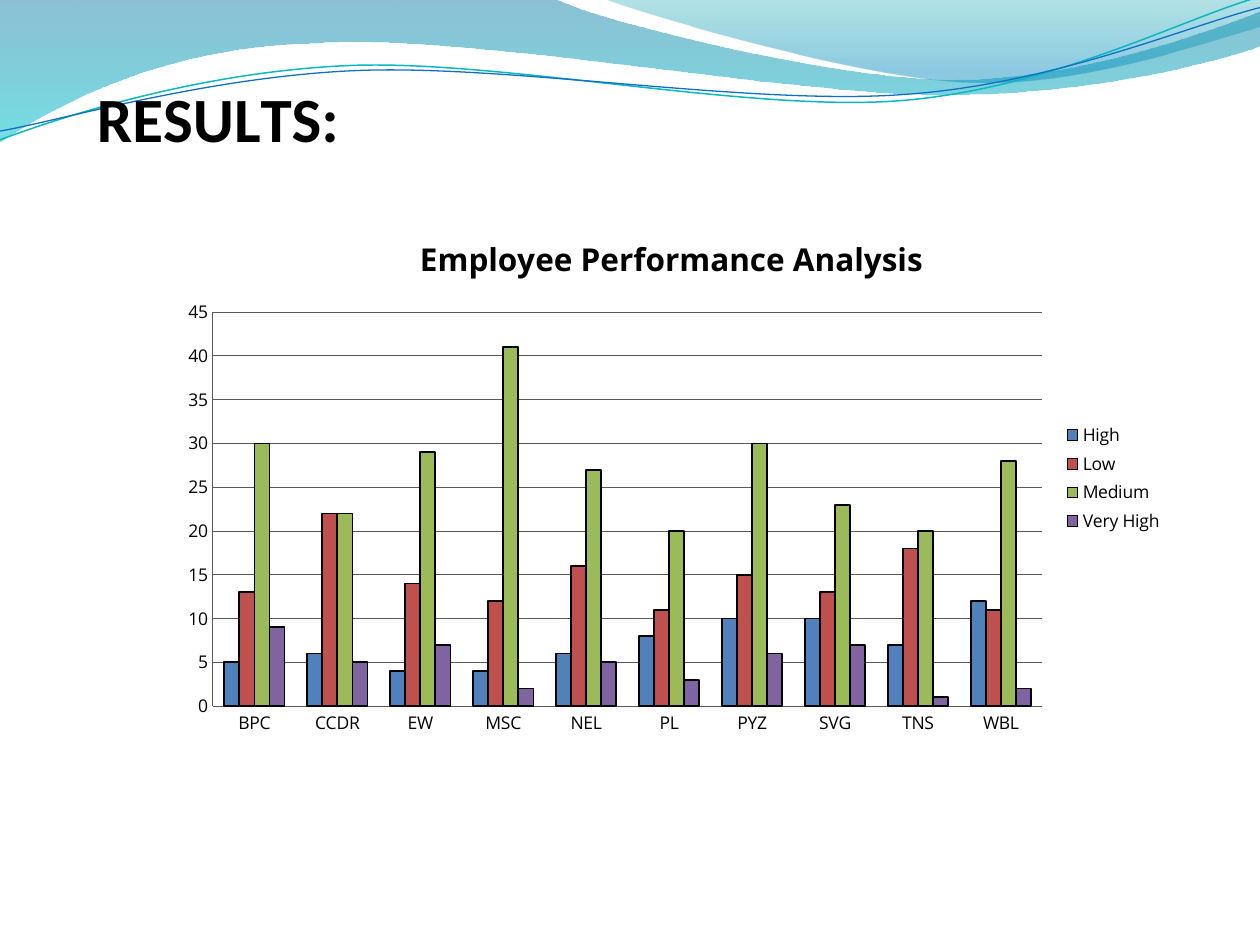
from math import cos, radians, sin

from lxml.etree import Element, SubElement
from pptx import Presentation
from pptx.chart.data import CategoryChartData
from pptx.dml.color import RGBColor
from pptx.enum.chart import XL_CHART_TYPE, XL_LEGEND_POSITION, XL_TICK_MARK
from pptx.enum.text import MSO_AUTO_SIZE
from pptx.oxml.ns import qn
from pptx.util import Inches, Pt

TEAMS = ["BPC", "CCDR", "EW", "MSC", "NEL", "PL", "PYZ", "SVG", "TNS", "WBL"]
RATINGS = [
    ("High", "4F81BD", [5, 6, 4, 4, 6, 8, 10, 10, 7, 12]),
    ("Low", "C0504D", [13, 22, 14, 12, 16, 11, 15, 13, 18, 11]),
    ("Medium", "9BBB59", [30, 22, 29, 41, 27, 20, 30, 23, 20, 28]),
    ("Very High", "8064A2", [9, 5, 7, 2, 5, 3, 6, 7, 1, 2]),
]

# Outlines in inches: each step holds one point (corner) or three (curve)
WIDE_WAVE = [
    [(0, 0)], [(4.4, -0.01)],
    [(4.76, 0.17), (6.64, 0.63), (7.58, 0.63)],
    [(8.53, 0.63), (9.58, 0.26), (10, 0.09)],
    [(10.01, 0.36)],
    [(9.83, 0.44), (8.7, 0.76), (7.46, 0.75)],
    [(6.22, 0.75), (3.82, 0.28), (2.57, 0.34)],
    [(1.29, 0.36), (0.46, 0.83), (-0.01, 1.13)],
    [(0, 0)],
]
RIGHT_WAVE = [
    [(4.79, -0.01)],
    [(5.09, 0.11), (6.82, 0.62), (7.69, 0.65)],
    [(8.56, 0.69), (9.61, 0.32), (10, 0.21)],
    [(10, 0)], [(4.79, -0.01)],
]
TEAL_LINE = [
    [(0, 1.11)],
    [(0.48, 0.93), (1.58, 0.57), (2.77, 0.52)],
    [(3.95, 0.47), (5.93, 0.89), (7.13, 0.8)],
    [(8.33, 0.71), (9.38, 0.15), (9.98, -0.02)],
]
BLUE_LINE = [
    [(0, 1.04)],
    [(0.47, 0.96), (1.64, 0.61), (2.83, 0.56)],
    [(4.03, 0.51), (5.97, 0.84), (7.17, 0.75)],
    [(8.36, 0.67), (9.41, 0.21), (10, 0.06)],
]
LINE_TILT = 2.7


def color(hex_string):
    return RGBColor.from_string(hex_string)


def turn(outline, degrees, center):
    """Turn an outline clockwise about a center."""
    cosine, sine = cos(radians(degrees)), sin(radians(degrees))
    middle_x, middle_y = center
    return [[(middle_x + (x - middle_x) * cosine - (y - middle_y) * sine,
              middle_y + (x - middle_x) * sine + (y - middle_y) * cosine)
             for x, y in step] for step in outline]


class SlideWriter:
    text_color = "000000"
    back_color = "FFFFFF"
    grid_color = "595959"
    title_font = "Calibri"
    chart_font = "Open Sans"

    def __init__(self, slide):
        self.slide = slide

    def freeform(self, outline, closed):
        points = [(Inches(x), Inches(y)) for step in outline for x, y in step]
        builder = self.slide.shapes.build_freeform(*points[0])
        builder.add_line_segments(points[1:], close=closed)
        shape = builder.convert_to_shape()
        shape.shadow.inherit = False
        # Join each group of three segments into one cubic curve
        segments = iter(list(shape.element.iter(qn("a:lnTo"))))
        for step in outline[1:]:
            group = [next(segments) for _ in step]
            if len(group) == 3:
                curve = Element(qn("a:cubicBezTo"))
                group[0].addprevious(curve)
                for segment in group:
                    curve.append(segment[0])
                    segment.getparent().remove(segment)
        return shape

    def wave(self, outline, stops):
        shape = self.freeform(outline, True)
        shape.line.fill.background()
        shape.fill.gradient()
        shape.fill.gradient_angle = 270
        for stop, (position, hex_string, _) in zip(shape.fill.gradient_stops, stops):
            stop.position = position
            stop.color.rgb = color(hex_string)
        for node, (_, _, opacity) in zip(shape.element.iter(qn("a:srgbClr")), stops):
            SubElement(node, qn("a:alpha"), val=str(opacity * 1000))

    def curve(self, outline, center, hex_string, width):
        shape = self.freeform(turn(outline, LINE_TILT, center), False)
        shape.rotation = 360 - LINE_TILT
        shape.fill.background()
        shape.line.color.rgb = color(hex_string)
        shape.line.width = Pt(width)

    def style_font(self, font, name, size, bold=False):
        font.name, font.size, font.bold = name, Pt(size), bold
        font.color.rgb = color(self.text_color)

    def style_line(self, line, hex_string, width):
        line.color.rgb = color(hex_string)
        line.width = Pt(width)

    def title(self, left, top, width, height, runs):
        box = self.slide.shapes.add_textbox(
            Inches(left), Inches(top), Inches(width), Inches(height))
        frame = box.text_frame
        frame.word_wrap = True
        frame.auto_size = MSO_AUTO_SIZE.SHAPE_TO_FIT_TEXT
        para = frame.paragraphs[0]
        for text, spacing in runs:
            span = para.add_run()
            span.text = text
            self.style_font(span.font, self.title_font, 36, True)
            span.font._element.set("spc", str(round(spacing * 100)))

    def column_chart(self, left, top, width, height, heading, categories, series):
        data = CategoryChartData()
        data.categories = categories
        for name, _, values in series:
            data.add_series(name, values)
        chart = self.slide.shapes.add_chart(
            XL_CHART_TYPE.COLUMN_CLUSTERED, Inches(left), Inches(top),
            Inches(width), Inches(height), data).chart
        self.style_font(chart.font, self.chart_font, 10)

        # Heading and legend
        chart.has_title = True
        span = chart.chart_title.text_frame.paragraphs[0].add_run()
        span.text = heading
        self.style_font(span.font, self.chart_font, 18, True)
        chart.has_legend = True
        chart.legend.position = XL_LEGEND_POSITION.RIGHT
        chart.legend.include_in_layout = False
        self.style_font(chart.legend.font, self.chart_font, 10)

        # Axes
        for axis in (chart.category_axis, chart.value_axis):
            axis.major_tick_mark = axis.minor_tick_mark = XL_TICK_MARK.NONE
            self.style_font(axis.tick_labels.font, self.chart_font, 10)
            self.style_line(axis.format.line, self.grid_color, 0.5)
        self.style_line(chart.value_axis.major_gridlines.format.line, self.grid_color, 0.5)

        # Columns
        plot = chart.plots[0]
        plot.gap_width, plot.overlap = 150, 0
        plot.vary_by_categories = False
        for columns, (_, hex_string, _) in zip(plot.series, series):
            columns.format.fill.solid()
            columns.format.fill.fore_color.rgb = color(hex_string)
            self.style_line(columns.format.line, self.text_color, 1)

        # Plot placement and backgrounds
        area = chart.element.find(".//" + qn("c:plotArea"))
        self.place_plot(area, x=0.045, y=0.19, w=0.823, h=0.736)
        area.append(self.background())
        chart.element.find(qn("c:chart")).addnext(self.background())

    def place_plot(self, area, **fractions):
        layout = area.find(qn("c:layout"))
        if layout is None:
            layout = SubElement(area, qn("c:layout"))
            area.insert(0, layout)
        manual = SubElement(layout, qn("c:manualLayout"))
        settings = {"layoutTarget": "inner", "xMode": "edge", "yMode": "edge", **fractions}
        for name, value in settings.items():
            SubElement(manual, qn("c:" + name), val=str(value))

    def background(self):
        properties = Element(qn("c:spPr"))
        fill = SubElement(properties, qn("a:solidFill"))
        SubElement(fill, qn("a:srgbClr"), val=self.back_color)
        SubElement(SubElement(properties, qn("a:ln")), qn("a:noFill"))
        return properties


def main():
    deck = Presentation()
    deck.slide_width, deck.slide_height = Inches(10), Inches(7.5)
    page = SlideWriter(deck.slides.add_slide(deck.slide_layouts[6]))

    # Waves along the top
    page.wave(WIDE_WAVE, [(0, "0074A1", 45), (1, "00C6CF", 55)])
    page.wave(RIGHT_WAVE, [(0, "00A1A9", 30), (0.8, "008BBF", 45)])
    page.curve(TEAL_LINE, (4.99, 0.575), "0AB8BF", 0.85)
    page.curve(BLUE_LINE, (4.995, 0.59), "0F6FC6", 0.75)

    # Title, with its letter spacing in points
    page.title(0.67, 0.58, 2.92, 0.71, [
        ("R", 0), ("E", -0.4), ("S", 0.1), ("U", -0.3), ("L", -4), ("TS:", 0)])

    # Results
    page.column_chart(1.33, 1.67, 8, 4.25, "Employee Performance Analysis", TEAMS, RATINGS)

    deck.save("out.pptx")


if __name__ == "__main__":
    main()
